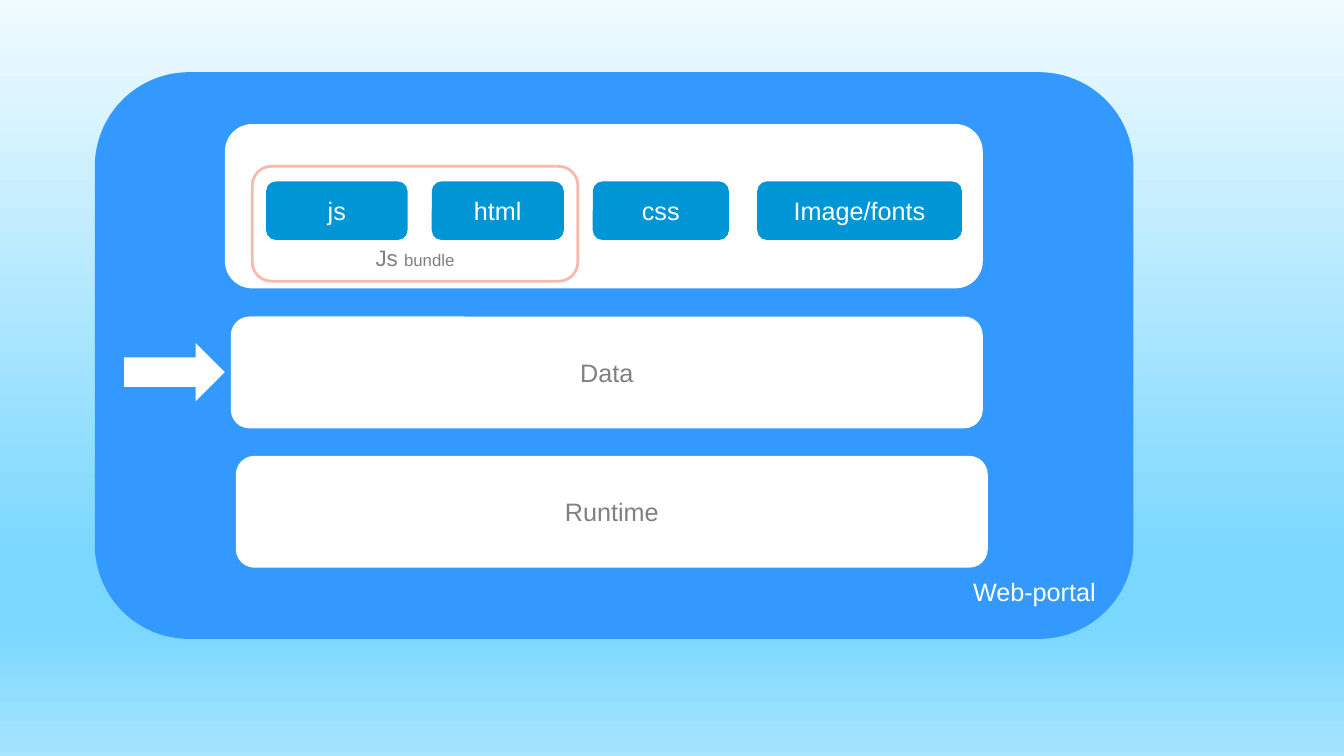
from dataclasses import dataclass

from lxml.etree import SubElement
from pptx import Presentation
from pptx.dml.color import RGBColor
from pptx.enum.shapes import MSO_SHAPE as Preset
from pptx.enum.text import MSO_ANCHOR as Anchor, PP_ALIGN as Align
from pptx.oxml.ns import qn
from pptx.slide import Slide
from pptx.util import Pt

COLOURS = {
    "portal": "3399FF",
    "panel": "FFFFFF",
    "asset": "0096D6",
    "bundle": "F9BAAD",
    "light text": "FFFFFF",
    "grey text": "808080",
}
BACKGROUND_STOPS = {0: "F0FBFF", 74: "7AD7FF", 83: "7AD7FF", 100: "A6E4FF"}
FONT_FORMAT = {"name": "Arial", "bold": False}
ASSET_TOP, ASSET_HEIGHT = 129.6, 41.8
LAYER_WIDTH, LAYER_HEIGHT = 537.1, 79.9


@dataclass(frozen=True)
class TextRun:
    text: str
    size: float = 18


@dataclass(frozen=True)
class Box:
    left: float
    top: float
    width: float
    height: float
    fill: str | None = "panel"
    line: str | None = None
    runs: tuple[TextRun, ...] = ()
    text_colour: str = "grey text"
    align: Align = Align.CENTER
    anchor: Anchor = Anchor.MIDDLE
    preset: Preset = Preset.ROUNDED_RECTANGLE


def asset(name: str, left: float, width: float) -> Box:
    return Box(left, ASSET_TOP, width, ASSET_HEIGHT, "asset",
               runs=(TextRun(name),), text_colour="light text")


def layer(name: str, left: float, top: float) -> Box:
    return Box(left, top, LAYER_WIDTH, LAYER_HEIGHT, runs=(TextRun(name),))


BOXES = (
    Box(67.7, 51.6, 741.9, 404.8, "portal", runs=(TextRun("Web-portal"),),
        text_colour="light text", align=Align.RIGHT, anchor=Anchor.BOTTOM),
    Box(160.6, 88.6, 541.4, 117.4),
    asset("js", 190.1, 101),
    asset("css", 423.4, 97.2),
    asset("Image/fonts", 540.9, 146.2),
    layer("Data", 164.9, 226.1),
    layer("Runtime", 168.5, 325.6),
    asset("html", 308.4, 94.3),
    Box(180.2, 118.8, 232.6, 82.1, fill=None, line="bundle",
        runs=(TextRun("Js ", 16), TextRun("bundle", 12)), anchor=Anchor.BOTTOM),
    Box(88.6, 244.9, 72, 41.8, preset=Preset.RIGHT_ARROW),
)


def colour(name: str) -> RGBColor:
    return RGBColor.from_string(COLOURS[name])


def paint_background(slide: Slide) -> None:
    fill = slide.background.fill
    fill.gradient()
    fill.gradient_angle = 270  # counter-clockwise: runs from top to bottom
    stop_list = slide.element.find(".//" + qn("a:gsLst"))
    for old_stop in list(stop_list):
        stop_list.remove(old_stop)
    for percent, value in BACKGROUND_STOPS.items():
        stop = SubElement(stop_list, qn("a:gs"), pos=str(percent * 1000))
        SubElement(stop, qn("a:srgbClr"), val=value)


def draw_box(slide: Slide, box: Box) -> None:
    shape = slide.shapes.add_shape(
        box.preset, Pt(box.left), Pt(box.top), Pt(box.width), Pt(box.height))
    shape.shadow.inherit = False
    for fill, name in ((shape.fill, box.fill), (shape.line.fill, box.line)):
        if name:
            fill.solid()
            fill.fore_color.rgb = colour(name)
        else:
            fill.background()
    if box.line:
        shape.line.width = Pt(2)

    frame = shape.text_frame
    frame.word_wrap = True
    frame.vertical_anchor = box.anchor
    paragraph = frame.paragraphs[0]
    paragraph.alignment = box.align
    for text_run in box.runs:
        run = paragraph.add_run()
        run.text = text_run.text
        for attribute, value in (FONT_FORMAT | {"size": Pt(text_run.size)}).items():
            setattr(run.font, attribute, value)
        run.font.color.rgb = colour(box.text_colour)


def main() -> None:
    presentation = Presentation()
    presentation.slide_width, presentation.slide_height = Pt(960), Pt(540)
    slide = presentation.slides.add_slide(presentation.slide_layouts[6])
    paint_background(slide)
    for box in BOXES:
        draw_box(slide, box)
    presentation.save("out.pptx")


if __name__ == "__main__":
    main()
